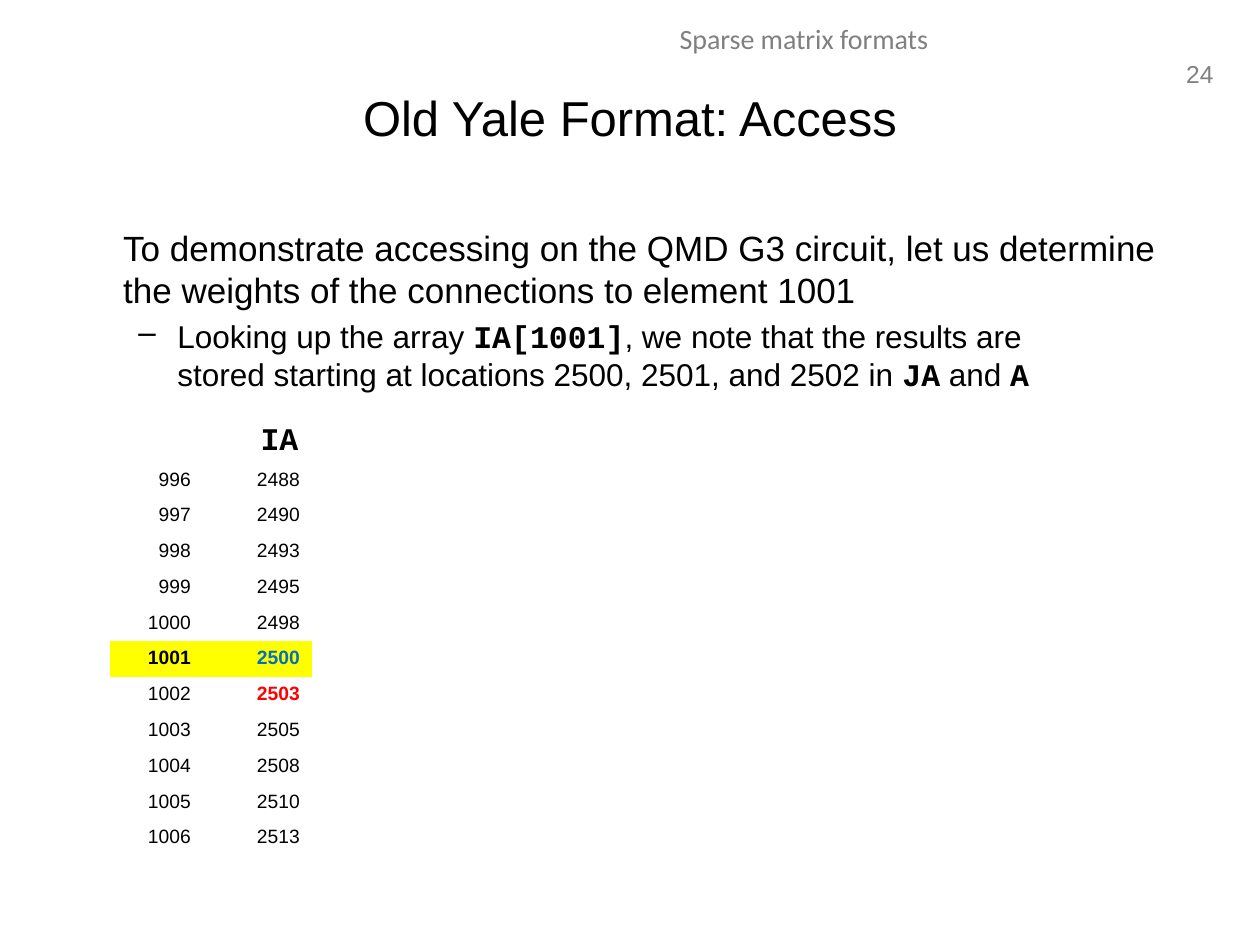
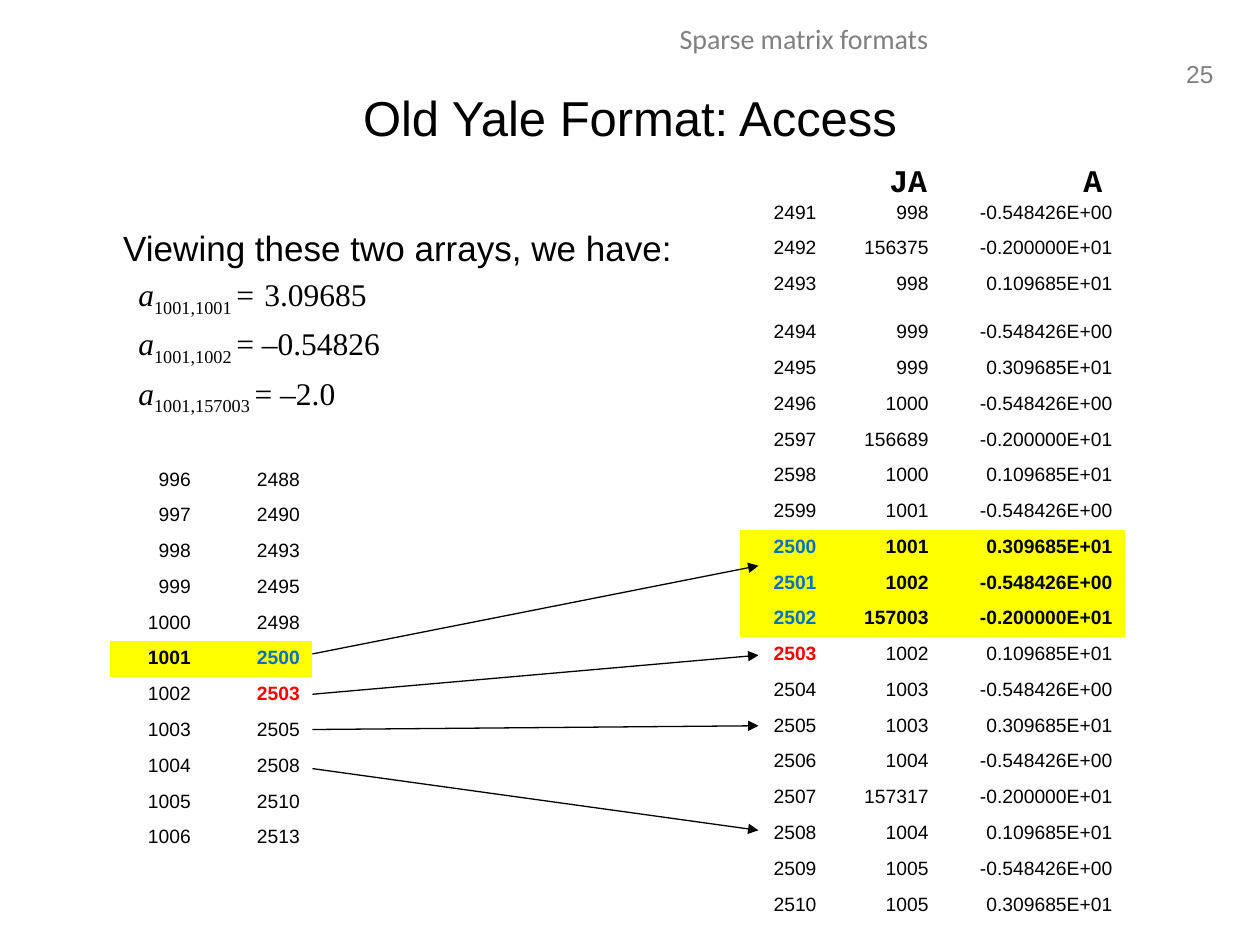
from itertools import chain, cycle
from lxml.etree import SubElement
from pptx import Presentation
from pptx.dml.color import RGBColor
from pptx.enum.shapes import MSO_CONNECTOR
from pptx.enum.text import MSO_ANCHOR, PP_ALIGN
from pptx.oxml.ns import qn
from pptx.util import Inches, Pt

COLORS = {"text": "000000", "header": "808080", "highlight": "FFFF00",
          "start": "0070C0", "next": "FF0000"}
COLUMNS, ROWS = 100, 75
SLIDE_W, SLIDE_H = Inches(10), Inches(7.5)
NO_STYLE = "{2D5ABB26-0587-4C30-8999-92F81FD0307C}"
SANS, MONO, SERIF = "Arial", "Courier New", "Times New Roman"

TITLE_BOX = (5, 3, 90, 12.5)
BODY_BOX = (5, 17.5, 90, 49.5)
HEADER_BOX = (31.9, 1.2, 63.8, 4)
NUMBER_BOX = (92.9, 4.2, 4.4, 3.3)
IA_BOX = (8.75, 36.7, 16.05, 31.2)
JA_BOX = (58.7, 15.5, 30.6, 57.6)

IA_ROWS = list(zip(range(996, 1007), (2488, 2490, 2493, 2495, 2498, 2500,
                                      2503, 2505, 2508, 2510, 2513)))
JA = (998, 156375, 998, 999, 999, 1000, 156689, 1000, 1001, 1001, 1002,
      157003, 1002, 1003, 1003, 1004, 157317, 1004, 1005, 1005)
A = ("-0.548426E+00", "-0.200000E+01", "0.109685E+01",
     "-0.548426E+00", "0.309685E+01")
JA_ROWS = list(zip(chain(range(2491, 2497), range(2597, 2600), range(2500, 2511)),
                   JA, cycle(A)))
CELL_COLORS = {2500: "start", 2501: "start", 2502: "start", 2503: "next"}
ARROWS = ((51.9, 44.9), (55.1, 52), (57.9, 57.6), (61, 65.9))
EQUATIONS = (("1001,1001 ", "=\t3.09685", (3, 4.1)),
             ("1001,1002 ", "= –0.54826", (3,)),
             ("1001,157003 ", "= –2.0", (2.81,)))


def col(n):
    return round(SLIDE_W * n / COLUMNS)


def row(n):
    return round(SLIDE_H * n / ROWS)


def place(box):
    x, y, w, h = box
    return col(x), row(y), col(w), row(h)


def style(font, size, name=SANS, color="text", bold=False):
    font.size, font.name, font.bold = Pt(size), name, bold
    font.color.rgb = RGBColor.from_string(COLORS[color])


def add_runs(p, size, *parts):
    for text, name in parts:
        r = p.add_run()
        r.text = text
        style(r.font, size, name, bold=name == MONO)


def add_text(s, box, text, size, name=SANS, color="text", align=None,
             bold=False, wrap=True):
    sp = s.shapes.add_textbox(*place(box))
    tf = sp.text_frame
    tf.word_wrap = wrap
    p = tf.paragraphs[0]
    p.text, p.alignment = text, align
    style(p.runs[0].font, size, name, color, bold)
    return tf


def indent(p, left, first=0, bullet=None, tabs=()):
    pPr = p._p.get_or_add_pPr()
    pPr.set("marL", str(Inches(left)))
    pPr.set("indent", str(Inches(first)))
    if bullet:
        SubElement(pPr, qn("a:buChar"), char=bullet)
    else:
        SubElement(pPr, qn("a:buNone"))
    if tabs:
        stops = SubElement(pPr, qn("a:tabLst"))
        for stop in tabs:
            SubElement(stops, qn("a:tab"), pos=str(Inches(stop)), algn="l")


def add_array_label(s, box, text):
    add_text(s, box, text, 18, MONO, bold=True, wrap=False)


def add_table(s, box, rows, widths, highlighted, tall_row=None):
    table = s.shapes.add_table(len(rows), len(widths), *place(box)).table
    table.first_row = table.horz_banding = False
    table._tbl.tblPr.find(qn("a:tableStyleId")).text = NO_STYLE
    for column, width in zip(table.columns, widths):
        column.width = col(width)
    extra = 0 if tall_row is None else 1
    for i, values in enumerate(rows):
        is_tall = i == tall_row
        table.rows[i].height = row((box[3] - extra) / len(rows) + is_tall)
        lit = values[0] in highlighted
        for cell, value in zip(table.rows[i].cells, values):
            p = cell.text_frame.paragraphs[0]
            p.text, p.alignment = str(value), PP_ALIGN.RIGHT
            style(p.runs[0].font, 11, color=CELL_COLORS.get(value, "text"),
                  bold=lit or value in CELL_COLORS)
            if lit:
                cell.fill.solid()
                cell.fill.fore_color.rgb = RGBColor.from_string(COLORS["highlight"])
            else:
                cell.fill.background()


def add_ia_table(s):
    add_table(s, IA_BOX, IA_ROWS, (7.4, 8.65), {1001})


def add_ja_table(s):
    add_table(s, JA_BOX, JA_ROWS, (7.1, 8.9, 14.6), {2500, 2501, 2502}, tall_row=2)
    x, y, _, _ = JA_BOX
    add_array_label(s, (x + 10.9, y - 3.2, 5, 4), "JA")
    add_array_label(s, (x + 26.3, y - 3.2, 3.5, 4), "A")


def add_arrows(s):
    left, right = IA_BOX[0] + IA_BOX[2], JA_BOX[0] + 1.5
    for y1, y2 in ARROWS:
        c = s.shapes.add_connector(MSO_CONNECTOR.STRAIGHT, col(left), row(y1),
                                   col(right), row(y2))
        c.line.width = Pt(0.75)
        c.line.color.rgb = RGBColor.from_string(COLORS["text"])
        SubElement(c.line._get_or_add_ln(), qn("a:tailEnd"), type="triangle")
        SubElement(c._element.spPr, qn("a:effectLst"))


def add_slide(prs, number, lead):
    s = prs.slides.add_slide(prs.slide_layouts[5])
    add_text(s, NUMBER_BOX, str(number), 14, color="header",
             align=PP_ALIGN.RIGHT, wrap=False)
    add_text(s, HEADER_BOX, "Sparse matrix formats", 16, "Calibri", "header",
             PP_ALIGN.CENTER)
    title = s.shapes.title
    title.left, title.top, title.width, title.height = place(TITLE_BOX)
    tf = title.text_frame
    tf.text = "Old Yale Format: Access"
    tf.vertical_anchor = MSO_ANCHOR.MIDDLE
    tf.paragraphs[0].alignment = PP_ALIGN.CENTER
    style(tf.paragraphs[0].runs[0].font, 28)
    body = add_text(s, BODY_BOX, lead, 20)
    indent(body.paragraphs[0], 0.38)
    return s, body


def add_detail(body):
    p = body.add_paragraph()
    p.space_before = Pt(3.6)
    return p


def build_lookup(prs):
    s, body = add_slide(prs, 24, "To demonstrate accessing on the QMD G3 circuit, let us "
                        "determine the weights of the connections to element 1001")
    p = add_detail(body)
    indent(p, 0.81, -0.31, "–")
    add_runs(p, 18, ("Looking up the array ", SANS), ("IA[1001]", MONO),
             (", we note that the results are", SANS))
    p.add_line_break()
    add_runs(p, 18, ("stored starting at locations 2500, 2501, and 2502 in ", SANS),
             ("JA", MONO), (" and ", SANS), ("A", MONO))
    add_array_label(s, (IA_BOX[0] + 10.95, IA_BOX[1] - 3.9, 5, 4), "IA")
    add_ia_table(s)


def build_values(prs):
    s, body = add_slide(prs, 25, "Viewing these two arrays, we have:")
    for subscript, value, tabs in EQUATIONS:
        p = add_detail(body)
        indent(p, 0, tabs=tabs)
        add_runs(p, 18, ("\ta", SERIF), (subscript, SERIF), (value, SERIF))
        p.runs[0].font.italic = True
        p.runs[1].font._element.set("baseline", "-25000")
    add_ja_table(s)
    add_ia_table(s)
    add_arrows(s)


def main():
    prs = Presentation()
    prs.slide_width, prs.slide_height = SLIDE_W, SLIDE_H
    build_lookup(prs)
    build_values(prs)
    prs.save("out.pptx")


if __name__ == "__main__":
    main()
